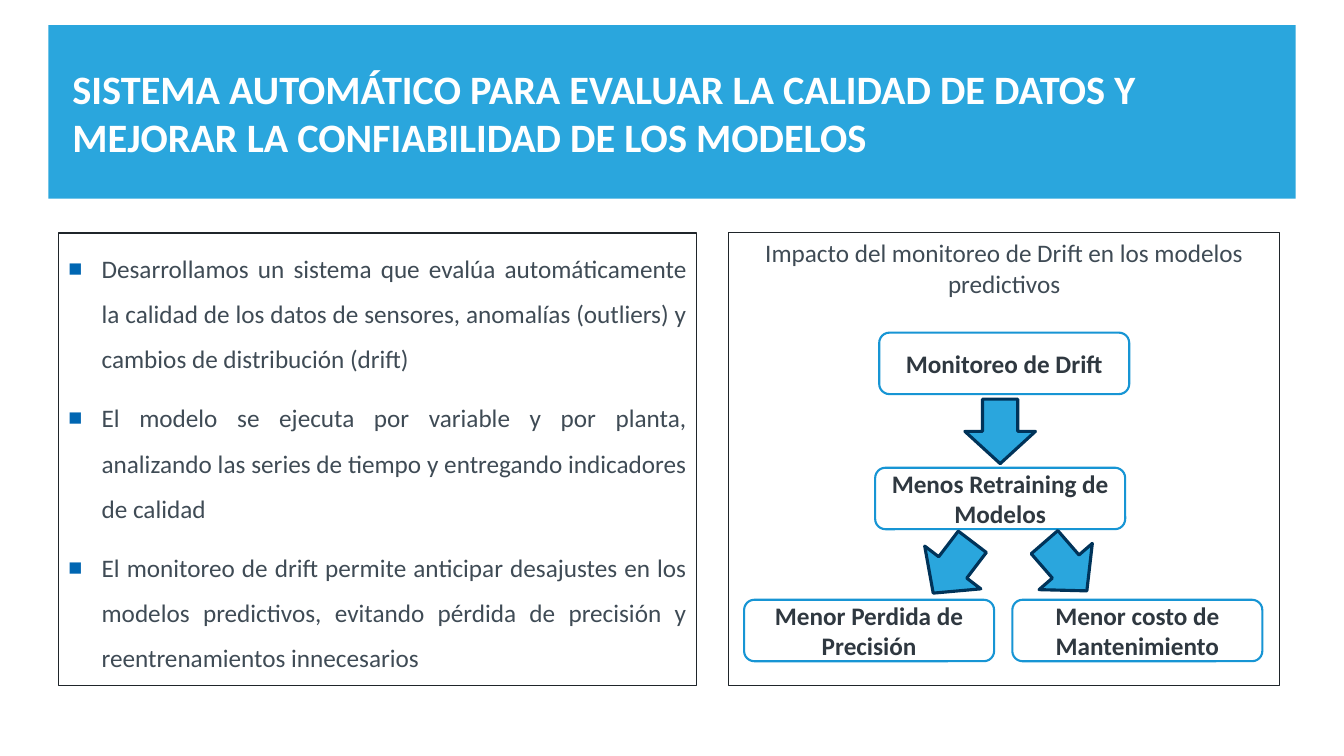
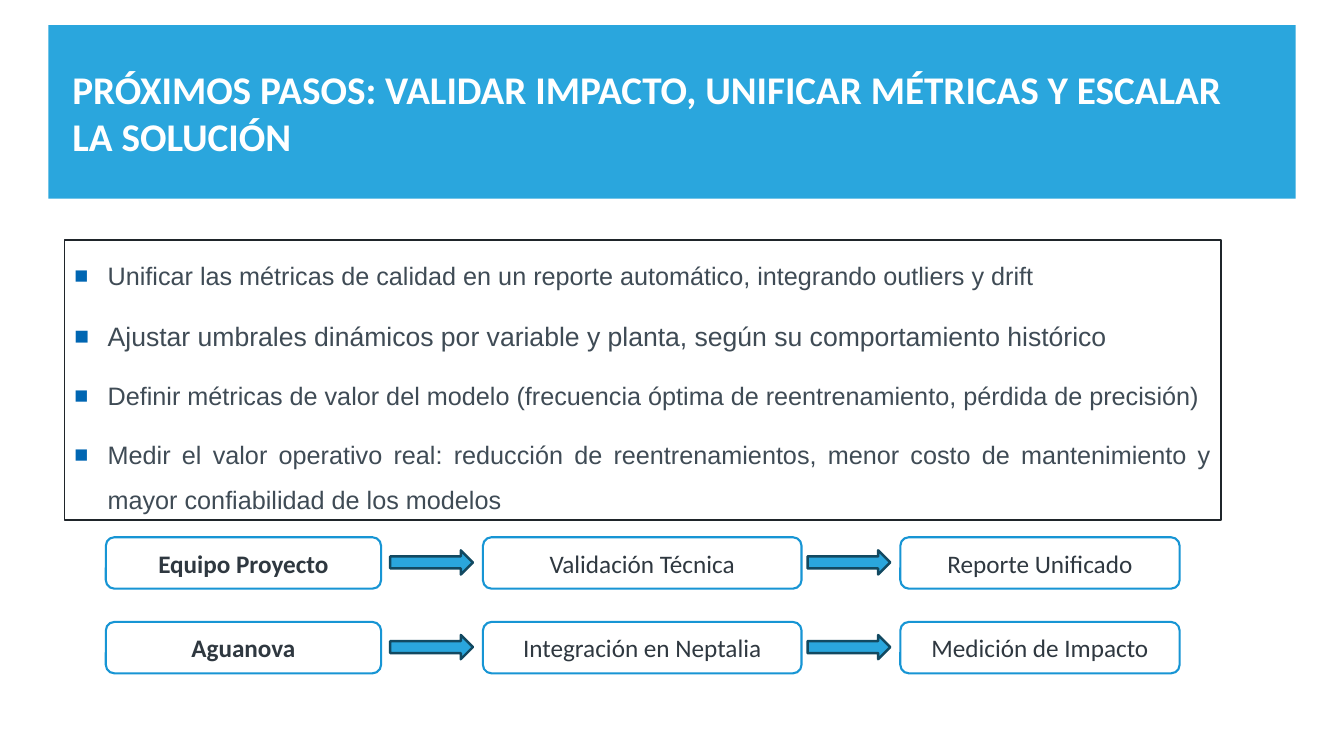
"""Build two slides on data quality monitoring and its next steps."""
from dataclasses import dataclass

from lxml.etree import SubElement
from pptx import Presentation
from pptx.dml.color import RGBColor
from pptx.enum.shapes import MSO_SHAPE
from pptx.enum.text import MSO_ANCHOR, PP_ALIGN
from pptx.oxml.ns import qn
from pptx.util import Inches, Pt


@dataclass(frozen=True)
class Theme:
    band: str = "2AA6DD"
    white: str = "FFFFFF"
    body: str = "3F4B55"
    label: str = "2F3840"
    frame: str = "1F252A"
    box_line: str = "1795D4"
    bullet: str = "0066B2"
    font: str = "Calibri"
    alt_font: str = "Arial"
    size: float = 18
    large_size: float = 19
    title_size: float = 28


class Deck:
    def __init__(self, theme):
        self.t = theme
        self.prs = Presentation()
        self.prs.slide_width = Inches(13.33)
        self.prs.slide_height = Inches(7.5)
        self.s = None

    def shape(self, kind, at, fill=None, line=None, width=1):
        sp = self.s.shapes.add_shape(kind, *(Inches(v) for v in at))
        sp.shadow.inherit = False
        if fill:
            sp.fill.solid()
            sp.fill.fore_color.rgb = RGBColor.from_string(fill)
        else:
            sp.fill.background()
        if line:
            sp.line.color.rgb = RGBColor.from_string(line)
            sp.line.width = Pt(width)
        else:
            sp.line.fill.background()
        return sp

    def frame(self, sp, anchor):
        tf = sp.text_frame
        tf.word_wrap = True
        tf.vertical_anchor = anchor
        return tf

    def run(self, p, text, color, size=None, font=None, bold=False):
        r = p.add_run()
        r.text = text
        r.font.name = font or self.t.font
        r.font.size = Pt(size or self.t.size)
        r.font.bold = bold
        r.font.color.rgb = RGBColor.from_string(color)

    def slide(self, title, size=None):
        self.s = self.prs.slides.add_slide(self.prs.slide_layouts[6])
        self.shape(MSO_SHAPE.RECTANGLE, (0.48, 0.25, 12.37, 1.72), self.t.band)
        sp = self.s.shapes.add_textbox(*(Inches(v) for v in (0.62, 0.56, 12.06, 1.11)))
        p = self.frame(sp, MSO_ANCHOR.MIDDLE).paragraphs[0]
        self.run(p, title, self.t.white, size or self.t.title_size, bold=True)

    def bullets(self, at, items, font=None):
        sp = self.shape(MSO_SHAPE.RECTANGLE, at, line=self.t.frame)
        tf = self.frame(sp, MSO_ANCHOR.TOP)
        for i, (text, size) in enumerate(items):
            p = tf.add_paragraph() if i else tf.paragraphs[0]
            p.alignment = PP_ALIGN.JUSTIFY
            p.line_spacing = 1.5
            p.space_before = Pt(3.6 if i else 0)
            p.space_after = Pt(6)
            self.mark(p)
            self.run(p, text, self.t.body, size, font)

    def mark(self, p):
        pPr = p._p.get_or_add_pPr()
        pPr.set("marL", str(Inches(0.33)))
        pPr.set("indent", str(-Inches(0.33)))
        clr = SubElement(pPr, qn("a:buClr"))
        SubElement(clr, qn("a:srgbClr"), val=self.t.bullet)
        SubElement(pPr, qn("a:buSzPct"), val="92000")
        SubElement(pPr, qn("a:buFont"), typeface=self.t.alt_font)
        SubElement(pPr, qn("a:buChar"), char="■")

    def panel(self, at, caption):
        sp = self.shape(MSO_SHAPE.RECTANGLE, at, line=self.t.frame, width=0.75)
        p = self.frame(sp, MSO_ANCHOR.TOP).paragraphs[0]
        p.alignment = PP_ALIGN.CENTER
        self.run(p, caption, self.t.body)

    def box(self, at, text, bold=True):
        sp = self.shape(MSO_SHAPE.ROUNDED_RECTANGLE, at, line=self.t.box_line, width=1.5)
        p = self.frame(sp, MSO_ANCHOR.MIDDLE).paragraphs[0]
        p.alignment = PP_ALIGN.CENTER
        self.run(p, text, self.t.label, bold=bold)

    def arrow(self, kind, at, line, width, rotation=0):
        sp = self.shape(kind, at, self.t.band, line, width)
        sp.rotation = rotation


def impact_slide(deck):
    deck.slide("SISTEMA AUTOMÁTICO PARA EVALUAR LA CALIDAD DE DATOS Y "
               "MEJORAR LA CONFIABILIDAD DE LOS MODELOS", 28.8)
    deck.bullets((0.58, 2.31, 6.33, 4.49), [
        ("Desarrollamos un sistema que evalúa automáticamente la calidad de los datos "
         "de sensores, anomalías (outliers) y cambios de distribución (drift)", None),
        ("El modelo se ejecuta por variable y por planta, analizando las series de "
         "tiempo y entregando indicadores de calidad", None),
        ("El monitoreo de drift permite anticipar desajustes en los modelos predictivos, "
         "evitando pérdida de precisión y reentrenamientos innecesarios", None),
    ])
    deck.panel((7.23, 2.31, 5.46, 4.49),
               "Impacto del monitoreo de Drift en los modelos predictivos")
    for x, y, text in [(8.72, 3.3, "Monitoreo de Drift"),
                       (8.68, 4.64, "Menos Retraining de Modelos"),
                       (7.38, 5.95, "Menor Perdida de Precisión"),
                       (10.04, 5.95, "Menor costo de Mantenimiento")]:
        deck.box((x, y, 2.48, 0.61), text)
    for x, y, rotation in [(9.57, 3.96, 0), (9.1, 5.31, 37.3), (10.22, 5.3, 319)]:
        deck.arrow(MSO_SHAPE.DOWN_ARROW, (x, y, 0.7, 0.64), "003359", 2.25, rotation)


def next_steps_slide(deck):
    deck.slide("PRÓXIMOS PASOS: VALIDAR IMPACTO, UNIFICAR MÉTRICAS Y ESCALAR LA SOLUCIÓN")
    deck.bullets((0.64, 2.38, 11.47, 2.78), [
        ("Unificar las métricas de calidad en un reporte automático, integrando "
         "outliers y drift", None),
        ("Ajustar umbrales dinámicos por variable y planta, según su comportamiento "
         "histórico", deck.t.large_size),
        ("Definir métricas de valor del modelo (frecuencia óptima de reentrenamiento, "
         "pérdida de precisión)", None),
        ("Medir el valor operativo real: reducción de reentrenamientos, menor costo de "
         "mantenimiento y mayor confiabilidad de los modelos", None),
    ], deck.t.alt_font)
    columns = [(1.05, 2.73), (4.79, 3.16), (8.93, 2.77)]
    rows = [(5.33, ["Equipo Proyecto", "Validación Técnica", "Reporte Unificado"]),
            (6.17, ["Aguanova", "Integración en Neptalia", "Medición de Impacto"])]
    for y, labels in rows:
        for i, ((x, w), text) in enumerate(zip(columns, labels)):
            deck.box((x, y, w, 0.51), text, bold=i == 0)
            if i:
                deck.arrow(MSO_SHAPE.RIGHT_ARROW, (x - 0.92, y + 0.13, 0.82, 0.24),
                           "124961", 1.75)


def main():
    deck = Deck(Theme())
    impact_slide(deck)
    next_steps_slide(deck)
    deck.prs.save("out.pptx")


if __name__ == "__main__":
    main()
